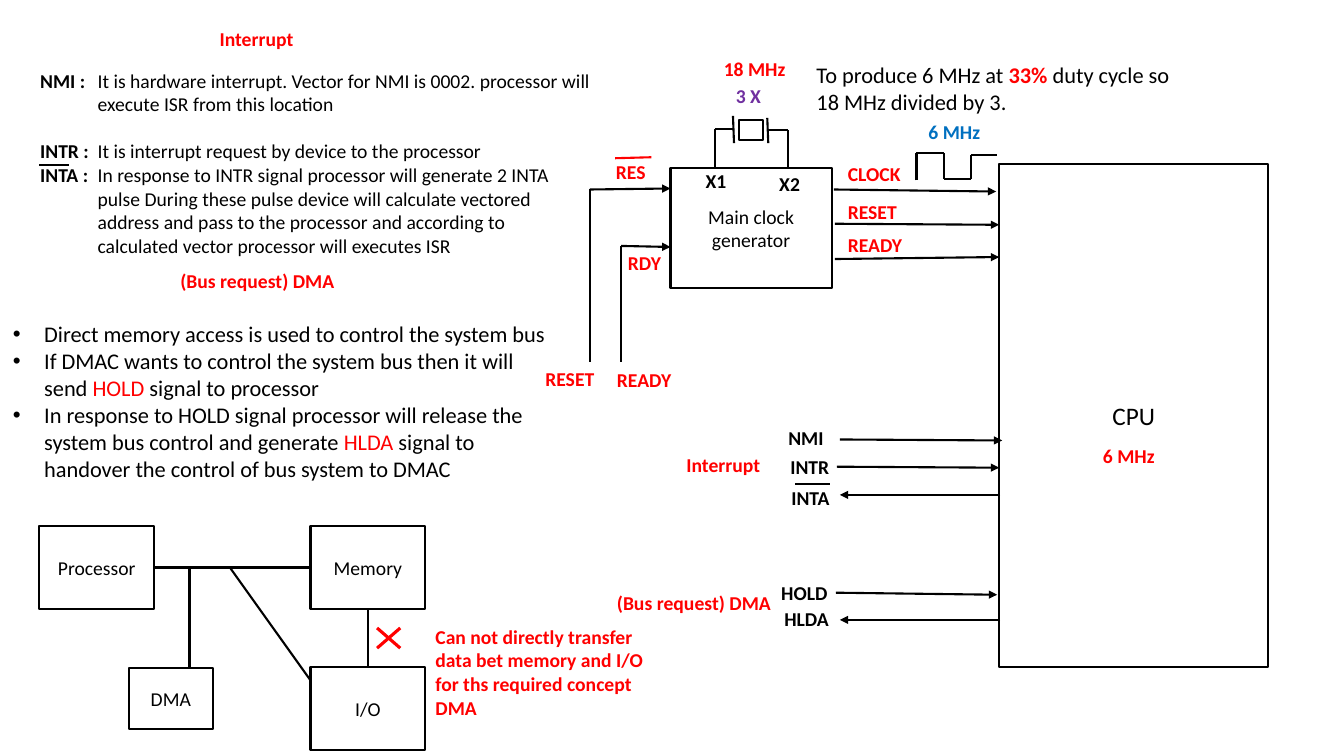
from dataclasses import dataclass
from itertools import pairwise
from typing import NamedTuple

from lxml.etree import SubElement
from pptx import Presentation
from pptx.dml.color import RGBColor
from pptx.enum.shapes import MSO_CONNECTOR as CONN, MSO_SHAPE as SHAPE
from pptx.enum.text import MSO_ANCHOR as ANCHOR, PP_ALIGN as ALIGN
from pptx.oxml.ns import qn
from pptx.util import Inches, Pt

COLS, ROWS = 1333, 750
BLACK, RED, BLUE, PURPLE = "000000", "FF0000", "0070C0", "7030A0"
FONT = "Calibri"

prs = Presentation()
prs.slide_width, prs.slide_height = Inches(13.33), Inches(7.5)
s = prs.slides.add_slide(prs.slide_layouts[6])


class Area(NamedTuple):
    col: int
    row: int
    cols: int
    rows: int


class Run(NamedTuple):
    text: str
    color: str = BLACK
    bold: bool = False


@dataclass
class Para:
    runs: list[Run]
    hang: float = 0
    bullet: bool = False
    before: float = 0


@dataclass
class Block:
    area: Area
    text: str


@dataclass
class Label:
    col: int
    row: int
    cols: int
    text: str
    color: str = RED
    rows: int = 34


@dataclass
class Wire:
    points: list[tuple[int, int]]
    arrow: bool = False
    color: str = BLACK
    width: float = 1.5


def rgb(color: str) -> RGBColor:
    return RGBColor.from_string(color)


def x(col: float) -> int:
    return round(prs.slide_width * col / COLS)


def y(row: float) -> int:
    return round(prs.slide_height * row / ROWS)


def place(area: Area) -> tuple[int, int, int, int]:
    return x(area.col), y(area.row), x(area.cols), y(area.rows)


def write_run(p, run: Run, size: float) -> None:
    for i, line in enumerate(run.text.split("\n")):
        if i:
            p.add_line_break()
        r = p.add_run()
        r.text = line
        r.font.name, r.font.size, r.font.bold = FONT, Pt(size), run.bold
        r.font.color.rgb = rgb(run.color)


def add_text(area: Area, paras: list[Para], size: float = 14) -> None:
    tf = s.shapes.add_textbox(*place(area)).text_frame
    tf.word_wrap = True
    tf.margin_right = x(4)
    for i, para in enumerate(paras):
        p = tf.paragraphs[0] if i == 0 else tf.add_paragraph()
        if para.hang:
            pPr = p._p.get_or_add_pPr()
            pPr.set("marL", str(Inches(para.hang)))
            pPr.set("indent", str(-Inches(para.hang)))
            if para.bullet:
                SubElement(pPr, qn("a:buFont"), typeface="Arial")
                SubElement(pPr, qn("a:buChar"), char="•")
        if para.before:
            p.space_before = Pt(para.before)
        for run in para.runs:
            write_run(p, run, size)


def add_label(label: Label) -> None:
    area = Area(label.col, label.row, label.cols, label.rows)
    add_text(area, [Para([Run(label.text, label.color, True)])])


def add_block(block: Block, size: float = 14) -> None:
    sp = s.shapes.add_shape(SHAPE.RECTANGLE, *place(block.area))
    sp.shadow.inherit = False
    sp.fill.background()
    sp.line.color.rgb, sp.line.width = rgb(BLACK), Pt(1.5)
    if block.text:
        tf = sp.text_frame
        tf.word_wrap, tf.vertical_anchor = True, ANCHOR.MIDDLE
        p = tf.paragraphs[0]
        p.alignment = ALIGN.CENTER
        write_run(p, Run(block.text), size)


def add_wire(wire: Wire) -> None:
    for start, end in pairwise(wire.points):
        c = s.shapes.add_connector(CONN.STRAIGHT, x(start[0]), y(start[1]), x(end[0]), y(end[1]))
        c.line.color.rgb, c.line.width = rgb(wire.color), Pt(wire.width)
        if wire.arrow and end == wire.points[-1]:
            SubElement(c.line._get_or_add_ln(), qn("a:tailEnd"), type="triangle")
        SubElement(c._element.spPr, qn("a:effectLst"))


BLOCKS = [
    Block(Area(665, 167, 160, 119), "Main clock generator"),
    Block(Area(733, 119, 24, 20), ""),
    Block(Area(39, 522, 114, 82), "Processor"),
    Block(Area(308, 522, 114, 82), "Memory"),
    Block(Area(308, 662, 114, 82), "I/O"),
    Block(Area(128, 663, 83, 60), "DMA"),
]

WIRES = [
    Wire([(727, 115), (728, 142)]),
    Wire([(761, 117), (762, 142)]),
    Wire([(709, 167), (709, 128), (727, 128)]),
    Wire([(782, 167), (782, 129), (762, 129)]),
    Wire([(585, 359), (585, 188), (665, 187)], arrow=True),
    Wire([(616, 359), (616, 244), (665, 245)], arrow=True),
    Wire([(610, 157), (646, 156)], color=RED),
    Wire([(827, 188), (988, 190)], arrow=True),
    Wire([(828, 222), (991, 223)], arrow=True),
    Wire([(828, 257), (991, 255)], arrow=True),
    Wire([(909, 179), (909, 152), (936, 152), (936, 178), (963, 178), (963, 154), (989, 154)]),
    Wire([(833, 436), (994, 437)], arrow=True),
    Wire([(830, 463), (991, 464)], arrow=True),
    Wire([(992, 491), (833, 491)], arrow=True),
    Wire([(829, 588), (989, 590)], arrow=True),
    Wire([(992, 615), (833, 615)], arrow=True),
    Wire([(789, 480), (823, 480)]),
    Wire([(39, 164), (68, 164)]),
    Wire([(308, 563), (153, 563)]),
    Wire([(308, 675), (228, 563)]),
    Wire([(365, 662), (365, 604)]),
    Wire([(188, 662), (188, 563)]),
    Wire([(374, 623), (397, 643)], color=RED, width=2.25),
    Wire([(374, 643), (397, 623)], color=RED, width=2.25),
]

LABELS = [
    Label(208, 22, 144, "Interrupt"),
    Label(169, 262, 205, "(Bus request) DMA"),
    Label(601, 154, 72, "RES"),
    Label(613, 244, 72, "RDY"),
    Label(531, 359, 72, "RESET"),
    Label(602, 360, 82, "READY"),
    Label(690, 163, 65, "X1", BLACK),
    Label(763, 166, 65, "X2", BLACK),
    Label(831, 156, 89, "CLOCK"),
    Label(831, 193, 72, "RESET"),
    Label(831, 226, 82, "READY"),
    Label(1084, 436, 82, "6 MHz"),
    Label(720, 78, 72, "3 X", PURPLE),
    Label(708, 52, 82, "18 MHz"),
    Label(911, 114, 82, "6 MHz", BLUE),
    Label(772, 418, 72, "NMI", BLACK),
    Label(774, 446, 72, "INTR", BLACK),
    Label(775, 477, 72, "INTA", BLACK),
    Label(765, 571, 72, "HOLD", BLACK),
    Label(768, 597, 72, "HLDA", BLACK),
    Label(671, 444, 144, "Interrupt"),
    Label(602, 581, 205, "(Bus request) DMA"),
    Label(422, 615, 237, "Can not directly transfer data bet memory and I/O for ths required concept DMA", rows=104),
]

INTERRUPTS = [
    ("NMI :", "It is hardware interrupt. Vector for NMI is 0002. processor will\n"
              "execute ISR from this location", 0),
    ("INTR :", "It is interrupt request by device to the processor", 17),
    ("INTA :", "In response to INTR signal processor will generate 2 INTA\n"
               "pulse During these pulse device will calculate vectored\n"
               "address and pass to the processor and according to\n"
               "calculated vector processor will executes ISR", 0),
]

DMA_POINTS = [
    [Run("Direct memory access is used to control the system bus")],
    [Run("If DMAC wants to control the system bus then it will send "),
     Run("HOLD", RED), Run(" signal to processor")],
    [Run("In response to HOLD signal processor will release the system bus control and generate "),
     Run("HLDA", RED), Run(" signal to handover the control of bus system to DMAC")],
]

DUTY_CYCLE = [
    Para([Run("To produce 6 MHz at "), Run("33%", RED, True), Run(" duty cycle so")]),
    Para([Run("18 MHz divided by 3.")]),
]

add_block(Block(Area(991, 163, 267, 499), "CPU"), 18)
for block in BLOCKS:
    add_block(block)
for wire in WIRES:
    add_wire(wire)
for label in LABELS:
    add_label(label)
add_text(Area(30, 63, 564, 199), [
    Para([Run(f"{name}\t", bold=True), Run(text)], hang=0.57, before=gap)
    for name, text, gap in INTERRUPTS])
add_text(Area(3, 313, 558, 199), [Para(runs, hang=0.31, bullet=True) for runs in DMA_POINTS], 16)
add_text(Area(800, 56, 416, 91), DUTY_CYCLE, 16)

prs.save("out.pptx")
